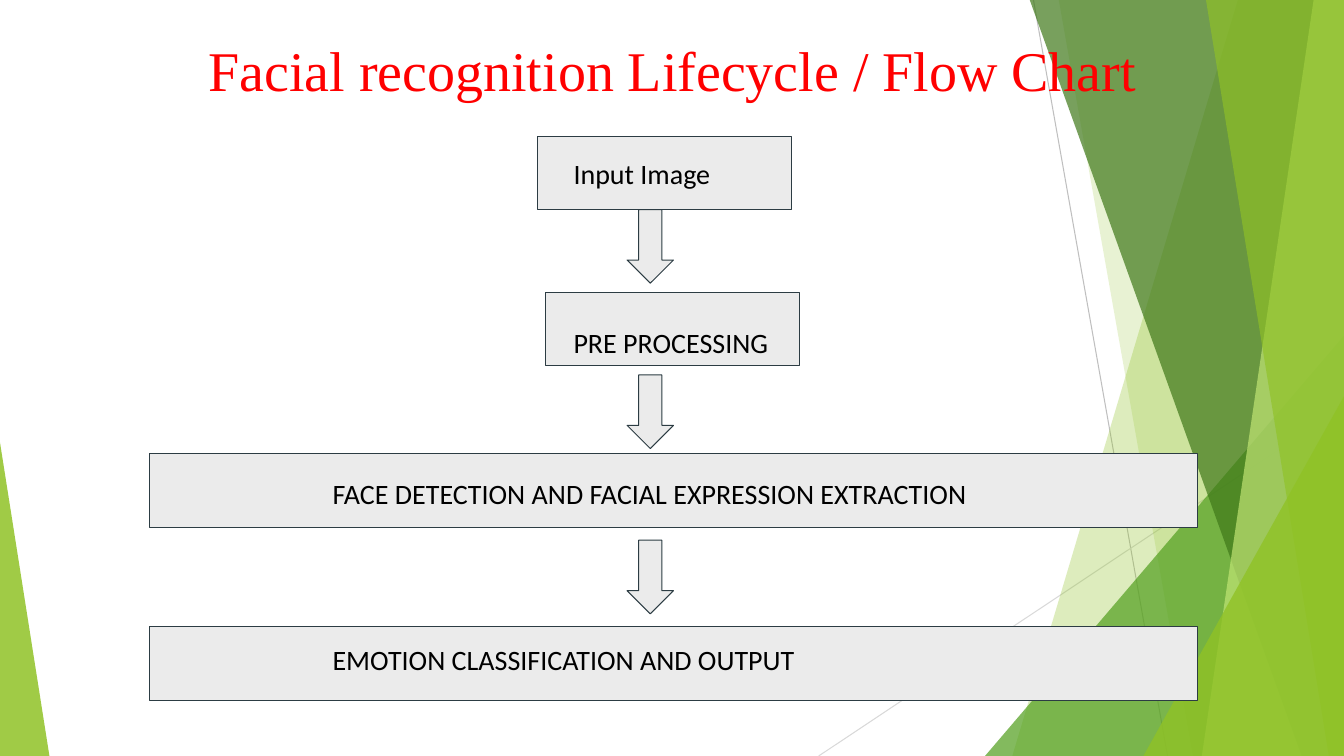
"""Build the facial recognition flow chart slide."""
from lxml import etree
from pptx import Presentation
from pptx.dml.color import RGBColor
from pptx.enum.shapes import MSO_CONNECTOR, MSO_SHAPE
from pptx.enum.text import MSO_ANCHOR, PP_ALIGN
from pptx.oxml.ns import qn
from pptx.util import Pt

PX = 9144
WIDTH, HEIGHT = 1333, 750
GREEN = "90C226"


def paint(shape, fill, opacity=100, line=None):
    shape.shadow.inherit = False
    shape.fill.solid()
    shape.fill.fore_color.rgb = RGBColor.from_string(fill)
    if opacity < 100:
        color = shape.fill._xPr.find(qn("a:solidFill"))[0]
        etree.SubElement(color, qn("a:alpha")).set("val", str(opacity * 1000))
    if line:
        shape.line.color.rgb = RGBColor.from_string(line)
        shape.line.width = Pt(0.75)
    else:
        shape.line.fill.background()


def add_text(left, top, width, height, text, font, size, color, inset):
    box = slide.shapes.add_textbox(left * PX, top * PX, width * PX, height * PX)
    frame = box.text_frame
    frame.word_wrap = True
    frame.margin_left = frame.margin_right = 10 * PX
    frame.margin_top = frame.margin_bottom = inset * PX
    run = frame.paragraphs[0].add_run()
    run.text = text
    run.font.name = font
    run.font.size = Pt(size)
    run.font.color.rgb = RGBColor.from_string(color)
    return frame


presentation = Presentation()
presentation.slide_width = WIDTH * PX
presentation.slide_height = HEIGHT * PX
slide = presentation.slides.add_slide(presentation.slide_layouts[6])

for x1, y1, x2, y2, color in [
    (1025, 0, 1158, HEIGHT, "BFBFBF"),
    (WIDTH, 403, 812, HEIGHT, "D9D9D9"),
]:
    line = slide.shapes.add_connector(MSO_CONNECTOR.STRAIGHT, x1 * PX, y1 * PX, x2 * PX, y2 * PX)
    line.line.color.rgb = RGBColor.from_string(color)
    line.line.width = Pt(0.75)
    etree.SubElement(line._element.spPr, qn("a:effectLst"))

facets = [
    ("band", 1228, 1004, GREEN, 30),
    ("band", 1050, 1183, GREEN, 20),
    ("triangle", 977, 333, 356, 1, "54A021", 72),
    ("band", 1021, 1291, "3F7819", 70),
    ("band", 1303, 1192, "C0E474", 70),
    ("band", 1196, 1318, GREEN, 65),
    ("triangle", 1134, 393, 199, 1, GREEN, 80),
    ("triangle", 0, 439, 49, 0, GREEN, 85),
]
for kind, *geometry, color, opacity in facets:
    if kind == "band":
        top_left, bottom_left = geometry
        builder = slide.shapes.build_freeform(top_left, -1, scale=PX)
        builder.add_line_segments([(WIDTH, -1), (WIDTH, HEIGHT), (bottom_left, HEIGHT)])
        facet = builder.convert_to_shape()
    else:
        left, top, width, apex = geometry
        facet = slide.shapes.add_shape(
            MSO_SHAPE.ISOSCELES_TRIANGLE, left * PX, top * PX, width * PX, (HEIGHT - top) * PX)
        facet.adjustments[0] = apex
    paint(facet, color, opacity)

title = add_text(92, 0, 1150, 145, "Facial recognition Lifecycle / Flow Chart",
                 "Times New Roman", 40, "FF0000", 5)
title.vertical_anchor = MSO_ANCHOR.MIDDLE
title.paragraphs[0].alignment = PP_ALIGN.CENTER
title.paragraphs[0].line_spacing = 0.9

for row in range(3):
    arrow = slide.shapes.add_shape(
        MSO_SHAPE.DOWN_ARROW, 622 * PX, (208 + 164 * row) * PX, 46 * PX, 73 * PX)
    paint(arrow, "EBEBEB", line="2C3C43")

steps = [
    (533, 135, 252, 559, 145, "Input Image"),
    (541, 290, 252, 559, 313, "PRE PROCESSING"),
    (148, 450, 1040, 320, 463, "FACE DETECTION AND FACIAL EXPRESSION EXTRACTION"),
    (148, 622, 1040, 320, 627, "EMOTION CLASSIFICATION AND OUTPUT"),
]
for left, top, width, text_left, text_top, label in steps:
    step = slide.shapes.add_shape(MSO_SHAPE.RECTANGLE, left * PX, top * PX, width * PX, 73 * PX)
    paint(step, "EBEBEB", line="2C3C43")
    add_text(text_left, text_top, left + width - text_left, 54, label, "Calibri", 20, "000000", 10)

presentation.save("out.pptx")
